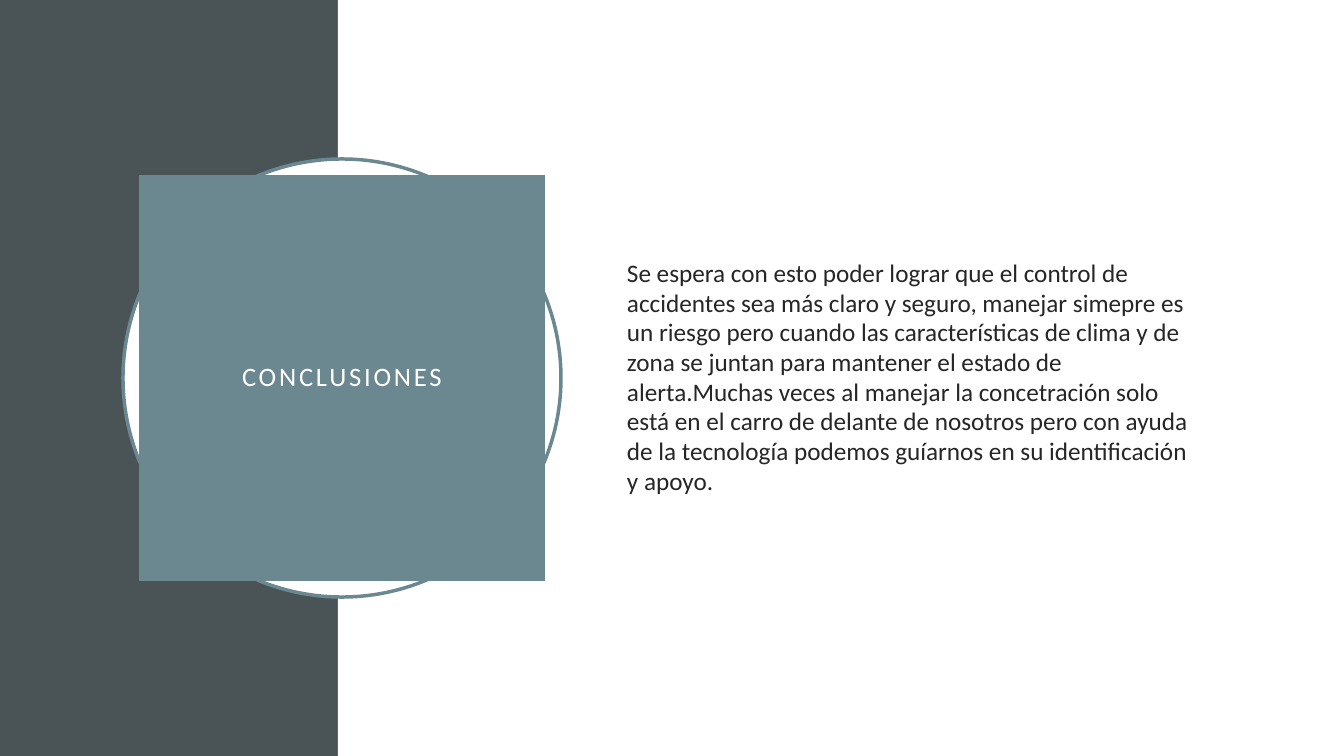
from dataclasses import dataclass

from pptx import Presentation, util as u
from pptx.dml.color import RGBColor
from pptx.enum import shapes, text

EMU_PER_PX = 914400 / 100.8


def px(length):
    """Turn whole pixels into EMU."""
    return u.Emu(round(length * EMU_PER_PX))


@dataclass(frozen=True)
class Theme:
    """Colours, type sizes and font of the slide."""

    slate: str = "4A5356"
    teal: str = "6B8891"
    white: str = "FFFFFF"
    ink: str = "262626"
    font: str = "Calibri"
    title_size: int = 19
    body_size: int = 18
    ring_width: float = 2.5


class SlideBuilder:
    """Draws styled elements on the current slide."""

    def __init__(self, slide, theme):
        """Keep the slide and its theme."""
        self.slide = slide
        self.theme = theme

    def panel(self, kind, box, fill, outline=None):
        """Add a filled preset shape with an optional outline."""
        panel = self.slide.shapes.add_shape(kind, *map(px, box))
        panel.shadow.inherit = False
        panel.fill.solid()
        panel.fill.fore_color.rgb = RGBColor.from_string(fill)
        if outline:
            panel.line.color.rgb = RGBColor.from_string(outline)
            panel.line.width = u.Pt(self.theme.ring_width)
        else:
            panel.line.fill.background()
        return panel

    def text_area(self, box):
        """Add an empty text box."""
        return self.slide.shapes.add_textbox(*map(px, box))

    def add_copy(self, holder, wording, size, color, inset, align,
                 leading, before=0, tracking=0):
        """Put one vertically centred paragraph into a shape."""
        frame = holder.text_frame
        frame.word_wrap = True
        frame.vertical_anchor = text.MSO_ANCHOR.MIDDLE
        frame.margin_left = frame.margin_right = px(inset[0])
        frame.margin_top = frame.margin_bottom = px(inset[1])
        paragraph = frame.paragraphs[0]
        paragraph.alignment = align
        paragraph.line_spacing = leading
        paragraph.space_before = u.Pt(before)
        run = paragraph.add_run()
        run.text = wording
        run.font.name = self.theme.font
        run.font.size = u.Pt(size)
        run.font.color.rgb = RGBColor.from_string(color)
        if tracking:
            run.font._element.set("spc", str(tracking * 100))


def main():
    """Build and save the conclusions slide."""
    deck = Presentation()
    deck.slide_width, deck.slide_height = px(1344), px(756)
    theme = Theme()
    builder = SlideBuilder(deck.slides.add_slide(deck.slide_layouts[6]), theme)
    rectangle = shapes.MSO_SHAPE.RECTANGLE

    builder.panel(rectangle, (0, 0, 338, 756), theme.slate)
    builder.panel(rectangle, (338, 0, 1006, 756), theme.white)
    builder.panel(shapes.MSO_SHAPE.OVAL, (123, 159, 438, 438),
                  theme.white, theme.teal)

    title = builder.panel(rectangle, (139, 175, 406, 406), theme.teal)
    builder.add_copy(title, "CONCLUSIONES", theme.title_size, theme.white,
                     (20, 20), text.PP_ALIGN.CENTER, 0.9, tracking=2)

    conclusions = builder.text_area((617, 154, 587, 447))
    builder.add_copy(
        conclusions,
        "Se espera con esto poder lograr que el control de accidentes sea más "
        "claro y seguro, manejar simepre es un riesgo pero cuando las "
        "características de clima y de zona se juntan para mantener el estado "
        "de alerta.Muchas veces al manejar la concetración solo está en el "
        "carro de delante de nosotros pero con ayuda de la tecnología podemos "
        "guíarnos en su identificación y apoyo.",
        theme.body_size, theme.ink, (10, 5), text.PP_ALIGN.LEFT, 0.98,
        before=10)

    deck.save("out.pptx")


if __name__ == "__main__":
    main()
